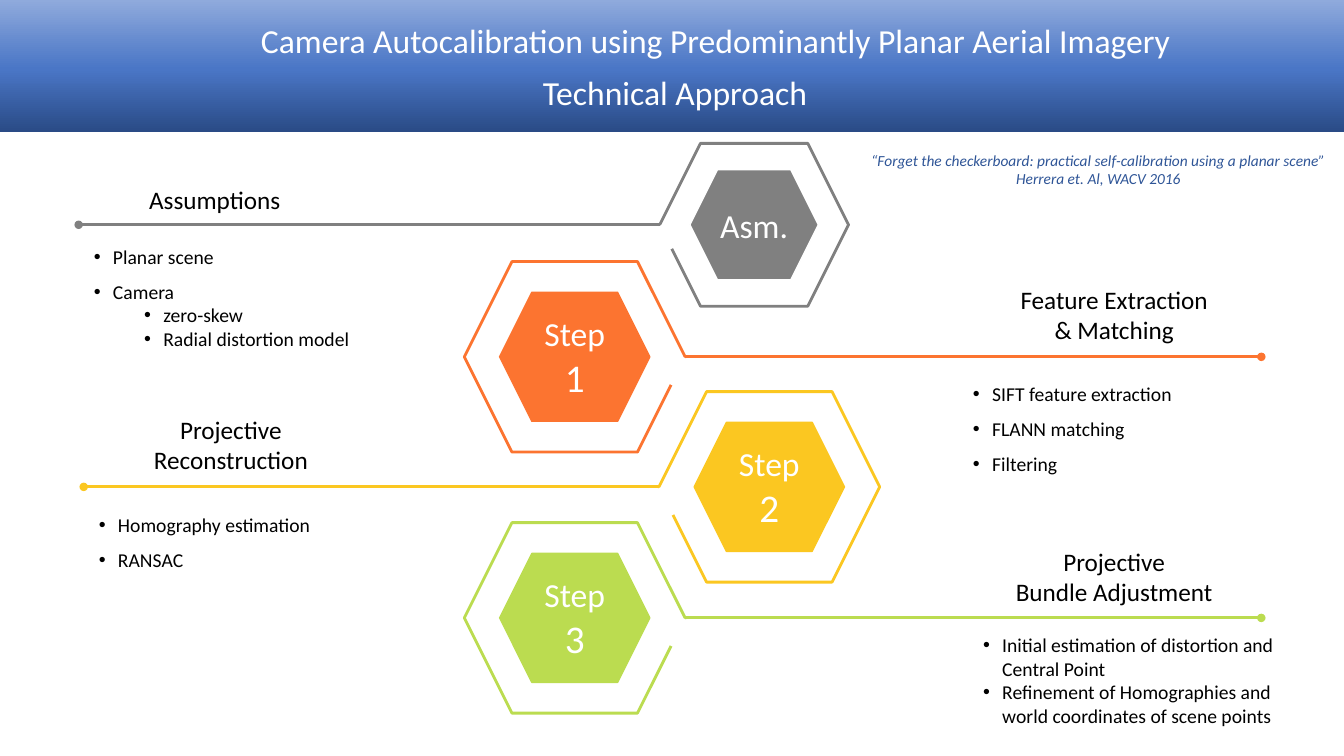
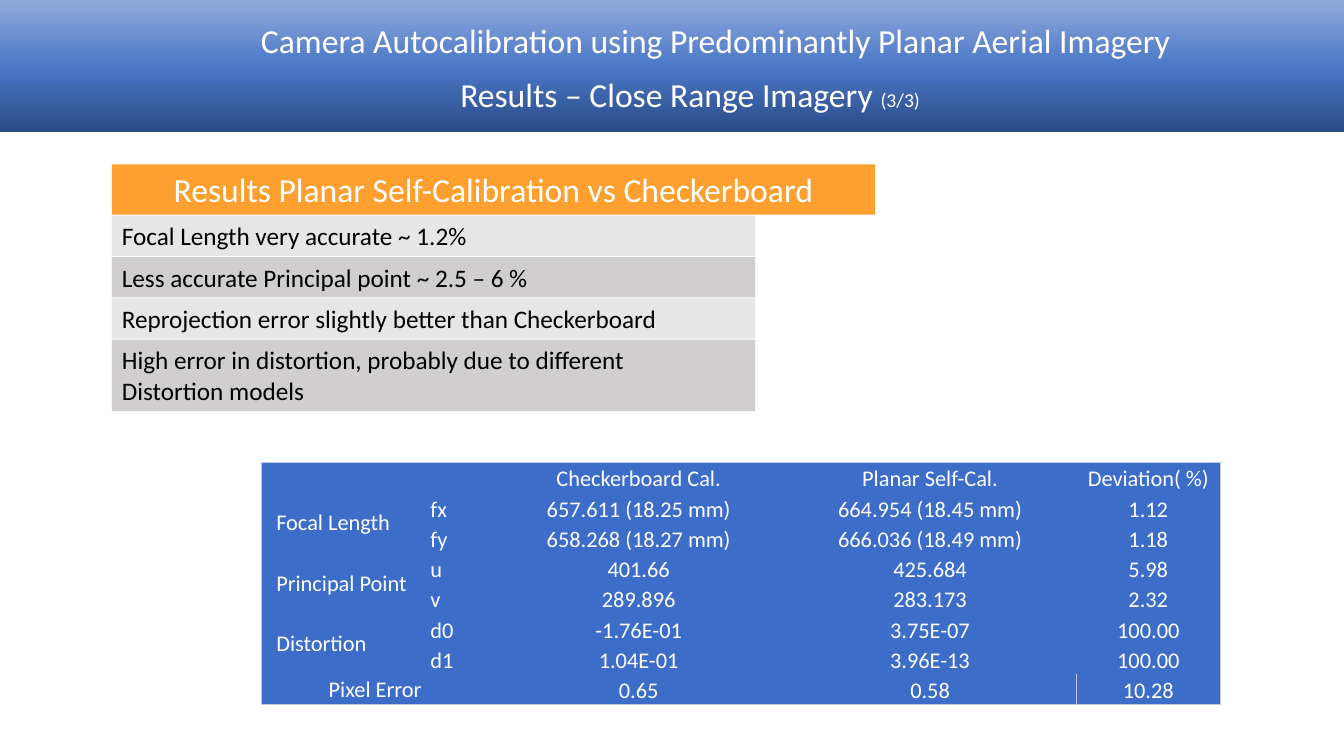
"""Build two slides on planar camera autocalibration."""
from dataclasses import dataclass
from typing import Any

from lxml import etree
from pptx import Presentation
from pptx.dml.color import RGBColor
from pptx.enum.shapes import MSO_CONNECTOR, MSO_SHAPE
from pptx.enum.text import MSO_ANCHOR, MSO_AUTO_SIZE, PP_ALIGN
from pptx.oxml.ns import qn
from pptx.util import Inches, Pt

RECT, HEX = MSO_SHAPE.RECTANGLE, MSO_SHAPE.HEXAGON
STRAIGHT = MSO_CONNECTOR.STRAIGHT
TOP, MIDDLE, BOTTOM = MSO_ANCHOR.TOP, MSO_ANCHOR.MIDDLE, MSO_ANCHOR.BOTTOM
LEFT, CENTER = PP_ALIGN.LEFT, PP_ALIGN.CENTER
FIXED = MSO_AUTO_SIZE.NONE

Box = tuple[float, float, float, float]
Para = list[tuple[str, int]]


@dataclass(frozen=True)
class Theme:
    font: str = "Calibri"
    white: str = "FFFFFF"
    black: str = "000000"
    gray: str = "808080"
    orange: str = "FC7430"
    yellow: str = "FBC721"
    green: str = "BBDC50"
    quote: str = "2F5597"
    amber: str = "FDA02F"
    pale: str = "E7E6E6"
    dim: str = "D0CECE"
    grid: str = "3C6DC8"
    rim: str = "C1C9E4"
    fade: tuple[tuple[int, str], ...] = ((0, "2A4B86"), (48, "4A76C6"), (100, "8FAADC"))
    title: int = 24
    digit: int = 28
    gap: int = 12
    label: int = 18
    cell: int = 16
    item: int = 14
    note: int = 11


T = Theme()


@dataclass(frozen=True)
class Step:
    name: Para
    color: str
    mid: tuple[float, float]
    end: float
    label: list[str]
    head: Box
    items: list[tuple[str, int]]
    body: Box
    scale: float = 1.0
    space: float = 1.5
    edge: str = ""


@dataclass(frozen=True)
class Bar:
    lines: list[str]
    top: float
    width: float
    height: float
    fill: str
    size: int = T.label
    color: str = T.black
    align: Any = LEFT


def count(digit: str) -> Para:
    return [("Step", T.title), (" ", T.gap), (digit, T.digit)]


STEPS = [
    Step(count("1"), T.orange, (5.7, 3.54), 12.51, ["Feature Extraction", "& Matching"],
         (8.94, 2.77, 4.22, 0.89),
         [("SIFT feature extraction", 0), ("FLANN matching", 0), ("Filtering", 0)],
         (9.55, 3.62, 2.54, 1.11)),
    Step(count("2"), T.yellow, (7.63, 4.83), 0.83, ["Projective", "Reconstruction"],
         (0.18, 4.06, 4.22, 0.71),
         [("Homography estimation", 0), ("RANSAC", 0)], (0.88, 4.92, 3.15, 0.76)),
    Step(count("3"), T.green, (5.7, 6.13), 12.51, ["Projective", "Bundle Adjustment"],
         (8.94, 5.37, 4.22, 0.71),
         [("Initial estimation of distortion and Central Point", 0),
          ("Refinement of Homographies and world coordinates of scene points", 0)],
         (9.65, 6.23, 3.38, 1.04), space=1.0),
    Step([("Asm.", T.title)], T.gray, (7.48, 2.23), 0.78, ["Assumptions"],
         (0.33, 1.78, 3.6, 0.4),
         [("Planar scene", 0), ("Camera", 0), ("zero-skew", 1), ("Radial distortion model", 1)],
         (0.83, 2.26, 3.15, 1.28), scale=0.855, edge=T.white),
]

BARS = [
    Bar(["Results Planar Self-Calibration vs Checkerboard"], 1.63, 7.57, 0.5,
        T.amber, T.title, T.white, CENTER),
    Bar(["Focal Length very accurate ~ 1.2%"], 2.14, 6.38, 0.4, T.pale),
    Bar(["Less accurate Principal point ~ 2.5 – 6 %"], 2.55, 6.38, 0.4, T.dim),
    Bar(["Reprojection error slightly better than Checkerboard"], 2.96, 6.38, 0.4, T.pale),
    Bar(["High error in distortion, probably due to different", "Distortion models"],
        3.37, 6.38, 0.71, T.dim),
]

COLS = [1.67, 0.64, 2.87, 2.91, 1.42]
ROWS = [
    ["", "", "Checkerboard Cal.", "Planar Self-Cal.", "Deviation( %)"],
    ["Focal Length", "fx", "657.611 (18.25 mm)", "664.954 (18.45 mm)", "1.12"],
    ["", "fy", "658.268 (18.27 mm)", "666.036 (18.49 mm)", "1.18"],
    ["Principal Point", "u", "401.66", "425.684", "5.98"],
    ["", "v", "289.896", "283.173", "2.32"],
    ["Distortion", "d0", "-1.76E-01", "3.75E-07", "100.00"],
    ["", "d1", "1.04E-01", "3.96E-13", "100.00"],
    ["Pixel Error\u00a0", "", "0.65", "0.58", "10.28"],
]
PLAIN = "{2D5ABB26-0587-4C30-8999-92F81FD0307C}"


def rgb(color: str) -> RGBColor:
    return RGBColor.from_string(color)


def put(target: Any, **fmt: Any) -> None:
    for key, value in fmt.items():
        setattr(target, key, value)


def node(root: Any, tag: str, **attrs: str) -> Any:
    return etree.SubElement(root, qn(tag), attrs)


def place(shape: Any, box: Box) -> None:
    put(shape, **dict(zip(("left", "top", "width", "height"), map(Inches, box))))


def write(frame: Any, paras: list[Para], color: str, align: Any = LEFT,
          anchor: Any = TOP, italic: bool = False) -> None:
    put(frame, word_wrap=True, auto_size=FIXED, vertical_anchor=anchor)
    for num, runs in enumerate(paras):
        para = frame.add_paragraph() if num else frame.paragraphs[0]
        put(para, alignment=align, space_before=Pt(0))
        for text, size in runs:
            run = para.add_run()
            run.text = text
            put(run.font, name=T.font, size=Pt(size), bold=False, italic=italic)
            run.font.color.rgb = rgb(color)


def lines(texts: list[str], size: int) -> list[Para]:
    return [[(text, size)] for text in texts]


def draw(slide: Any, kind: Any, box: Box, fill: str = "", line: str = "",
         width: float = 1) -> Any:
    shape = slide.shapes.add_shape(kind, *map(Inches, box))
    shape.shadow.inherit = False
    if fill:
        shape.fill.solid()
        shape.fill.fore_color.rgb = rgb(fill)
    else:
        shape.fill.background()
    if line:
        shape.line.color.rgb = rgb(line)
        shape.line.width = Pt(width)
    else:
        shape.line.fill.background()
    return shape


def label(slide: Any, box: Box, paras: list[Para], color: str, **fmt: Any) -> Any:
    shape = slide.shapes.add_textbox(*map(Inches, box))
    write(shape.text_frame, paras, color, **fmt)
    return shape


def banner(deck: Any, slide: Any) -> None:
    band = draw(slide, RECT, (0, 0, 13.33, 1.31))
    band.fill.gradient()
    band.fill.gradient_angle = 90
    stops = band._element.spPr.find(".//" + qn("a:gsLst"))
    stops.clear()
    for pos, color in T.fade:
        node(node(stops, "a:gs", pos=str(pos * 1000)), "a:srgbClr", val=color)
    topic = "Camera Autocalibration using Predominantly Planar Aerial Imagery"
    text = label(slide, (2.49, 0.15, 9.8, 0.5), lines([topic], T.title), T.white)
    tree = deck.slide_master.shapes._spTree
    for spot, shape in enumerate((band, text), 2):
        tree.insert(spot, shape._element)


def head(slide: Any, box: Box, runs: Para) -> None:
    place(slide.shapes.title, box)
    write(slide.shapes.title.text_frame, [runs], T.white, CENTER)


def around(x: float, y: float, wide: float, high: float) -> Box:
    return x - wide / 2, y - high / 2, wide, high


def bullets(shape: Any, step: Step) -> None:
    place(shape, step.body)
    frame = shape.text_frame
    write(frame, lines([text for text, _ in step.items], T.item), T.black)
    for para, (_, level) in zip(frame.paragraphs, step.items):
        put(para, level=level, line_spacing=1.0 if level else step.space)
        props = para._p.get_or_add_pPr()
        props.set("marL", str(Inches(0.19 + level / 2)))
        props.set("indent", str(Inches(-0.19)))
        node(props, "a:buFont", typeface="Arial")
        node(props, "a:buChar", char="•")


def stage(slide: Any, step: Step, body: Any) -> None:
    x, y = step.mid
    size = step.scale
    side = 1 if step.end > x else -1
    edge = x + side * 2.19 * size / 2
    label(slide, step.head, lines(step.label, T.label), T.black, align=CENTER)
    core = draw(slide, HEX, around(x, y, 1.49 * size, 1.28 * size),
                step.color, step.edge or step.color)
    write(core.text_frame, [step.name], T.white, CENTER, MIDDLE)
    draw(slide, HEX, around(x, y, 2.19 * size, 1.89 * size), line=step.color, width=2)
    patch = draw(slide, RECT, around(edge - side * 0.06 * size, y + 0.15 * size,
                                     0.24 * size, 0.3 * size), T.white)
    patch.rotation = side * 26.7 % 360
    wire = slide.shapes.add_connector(STRAIGHT, *map(Inches, (edge, y, step.end, y)))
    wire.line.color.rgb = rgb(step.color)
    wire.line.width = Pt(2)
    node(wire.line._get_or_add_ln(), "a:tailEnd", type="oval")
    node(wire._element.spPr, "a:effectLst")
    bullets(body, step)


def rule(cell: Any, sides: list[str]) -> None:
    props = cell._tc.get_or_add_tcPr()
    for spot, side in enumerate(sides):
        line = node(props, "a:ln" + side, w=str(Pt(0.5)))
        node(node(line, "a:solidFill"), "a:srgbClr", val=T.rim)
        props.insert(spot, line)


def grid(slide: Any) -> None:
    high, wide = len(ROWS), len(COLS)
    box = (2.59, 4.59, sum(COLS), 0.3 * high)
    table = slide.shapes.add_table(high, wide, *map(Inches, box)).table
    put(table, first_row=False, horz_banding=False)
    table._tbl.tblPr.find(qn("a:tableStyleId")).text = PLAIN
    for col, width in zip(table.columns, COLS):
        col.width = Inches(width)
    for r, row in enumerate(ROWS):
        table.rows[r].height = Inches(0.3)
        for c, text in enumerate(row):
            cell = table.cell(r, c)
            last = r == high - 1
            group = c == 0 and 0 < r < high - 1 and bool(text)
            pad, rise, foot = (0.15, 0.07, 0.07) if group else (0.01, 0.01, 0)
            put(cell, margin_left=Inches(pad), margin_right=Inches(pad),
                margin_top=Inches(rise), margin_bottom=Inches(foot),
                vertical_anchor=MIDDLE if c == 0 else BOTTOM)
            cell.fill.solid()
            cell.fill.fore_color.rgb = rgb(T.grid)
            para = cell.text_frame.paragraphs[0]
            para.alignment = CENTER if c > 1 or last else LEFT
            if text:
                run = para.add_run()
                run.text = text
                put(run.font, name=T.font, size=Pt(T.cell))
                run.font.color.rgb = rgb(T.white)
            else:
                node(para._p, "a:endParaRPr", sz=str(T.cell * 100))
            tests = {"L": c == 0 or (last and c == wide - 1), "R": c == wide - 1,
                     "T": r == 0, "B": last}
            rule(cell, [side for side, on in tests.items() if on])
    for r in (1, 3, 5):
        table.cell(r, 0).merge(table.cell(r + 1, 0))
    table.cell(high - 1, 0).merge(table.cell(high - 1, 1))


def method(deck: Any) -> None:
    slide = deck.slides.add_slide(deck.slide_layouts[4])
    banner(deck, slide)
    head(slide, (5.11, 0.66, 3.17, 0.5), [("Technical Approach", T.title)])
    for num, step in enumerate(STEPS, 1):
        stage(slide, step, slide.placeholders[num])
    cite = ["“Forget the checkerboard: practical self-calibration using a planar scene”",
            "Herrera et. Al, WACV 2016"]
    label(slide, (8.39, 1.45, 5.01, 0.47), lines(cite, T.note), T.quote,
          align=CENTER, italic=True)


def results(deck: Any) -> None:
    slide = deck.slides.add_slide(deck.slide_layouts[5])
    head(slide, (4.35, 0.68, 4.99, 0.5),
         [("Results – Close Range Imagery ", T.title), ("(3/3)", T.item)])
    for bar in BARS:
        shape = draw(slide, RECT, (1.11, bar.top, bar.width, bar.height), bar.fill)
        write(shape.text_frame, lines(bar.lines, bar.size), bar.color, bar.align)
    grid(slide)


def main() -> None:
    deck = Presentation()
    put(deck, slide_width=Inches(13.33), slide_height=Inches(7.5))
    method(deck)
    results(deck)
    deck.save("out.pptx")


main()
